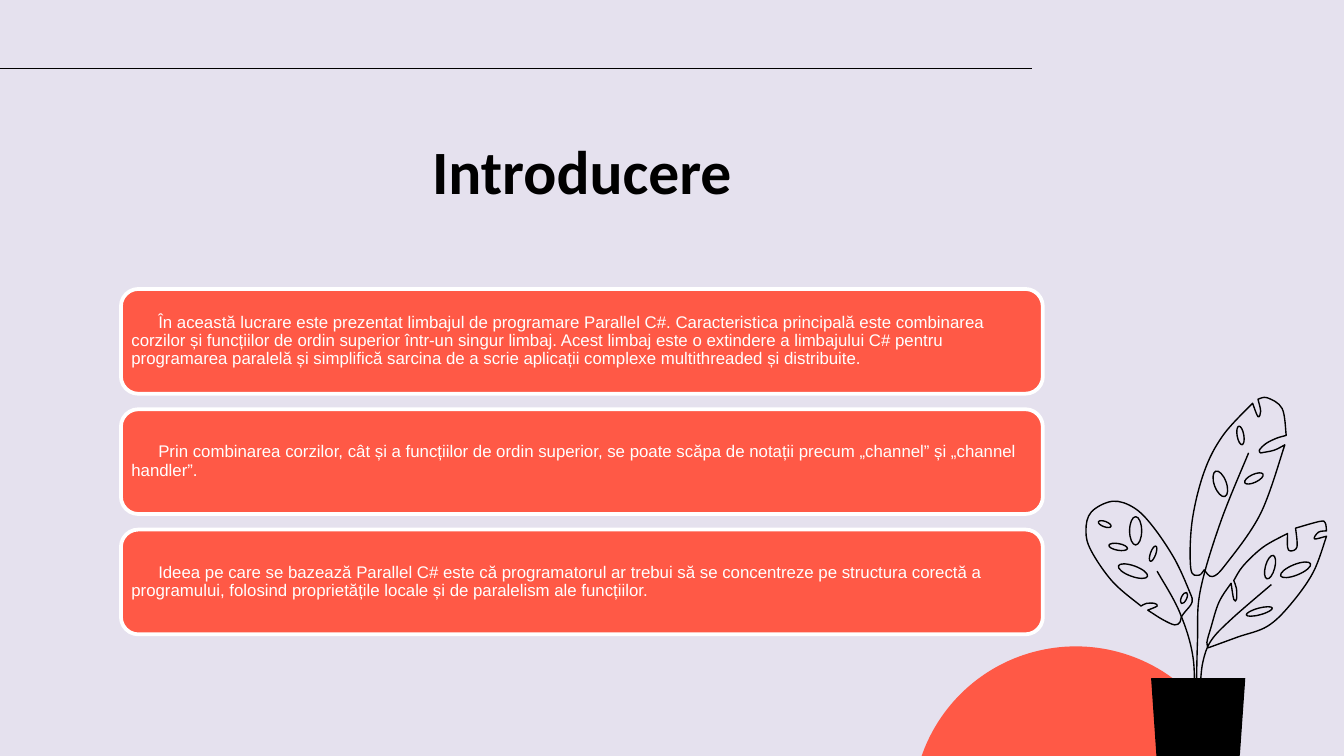
from math import cos, radians, sin

from lxml import etree
from pptx import Presentation, util as u
from pptx.dml.color import RGBColor
from pptx.enum import shapes, text
from pptx.oxml.ns import qn

LAVENDER = RGBColor(0xE5, 0xE1, 0xEE)
CORAL = RGBColor(0xFF, 0x59, 0x46)
BLACK = RGBColor(0, 0, 0)
WHITE = RGBColor(0xFF, 0xFF, 0xFF)

# Ellipse of radius 1 as four Bezier curves: start, then two controls and an end for each
K = 0.55
ELLIPSE = [(1, 0), (1, K), (K, 1), (0, 1), (-K, 1), (-1, K), (-1, 0),
           (-1, -K), (-K, -1), (0, -1), (K, -1), (1, -K), (1, 0)]

prs = Presentation()
prs.slide_width = u.Inches(10)
prs.slide_height = u.Emu(prs.slide_width * 9 // 16)
slide = prs.slides.add_slide(prs.slide_layouts[5])
slide.background.fill.solid()
slide.background.fill.fore_color.rgb = LAVENDER


def smooth(run):
    """Controls and ends of the Bezier curves that join the points of a run smoothly."""
    padded = [run[0], *run, run[-1]]
    curves = []
    for a, b, c, d in zip(padded, padded[1:], padded[2:], padded[3:]):
        curves += [(b[0] + (c[0] - a[0]) / 6, b[1] + (c[1] - a[1]) / 6),
                   (c[0] - (d[0] - b[0]) / 6, c[1] - (d[1] - b[1]) / 6), c]
    return curves


def draw(contours, fill=None, closed=True, curved=True):
    """Draw contours, given in inches, as one outlined freeform."""
    scaled = [[(u.Inches(x), u.Inches(y)) for x, y in contour] for contour in contours]
    builder = slide.shapes.build_freeform(*scaled[0][0])
    for i, contour in enumerate(scaled):
        if i:
            builder.move_to(*contour[0])
        builder.add_line_segments(contour[1:], close=closed)
    outline = builder.convert_to_shape()
    outline.shadow.inherit = False
    outline.line.color.rgb = BLACK
    outline.line.width = u.Pt(0.75)
    if fill is None:
        outline.fill.background()
    else:
        outline.fill.solid()
        outline.fill.fore_color.rgb = fill
    if curved:
        # Every three segments become one cubic curve
        segments = list(outline._element.iter(qn("a:lnTo")))
        for first, second, third in zip(segments[::3], segments[1::3], segments[2::3]):
            first.tag = qn("a:cubicBezTo")
            for extra in (second, third):
                first.append(extra[0])
                extra.getparent().remove(extra)


# Backdrop: circle and top rule
sun = slide.shapes.add_shape(shapes.MSO_SHAPE.OVAL, u.Inches(6.79), u.Inches(4.81),
                             u.Inches(2.43), u.Inches(2.43))
sun.shadow.inherit = False
sun.fill.solid()
sun.fill.fore_color.rgb = CORAL
sun.line.fill.background()

rule = slide.shapes.add_connector(shapes.MSO_CONNECTOR.STRAIGHT, 0, u.Inches(0.51),
                                  u.Inches(7.68), u.Inches(0.51))
rule.line.color.rgb = BLACK
rule.line.width = u.Pt(0.75)
etree.SubElement(rule._element.spPr, qn("a:effectLst"))

# Leaves: edge runs that meet in corners, and holes as (x, y, length, width, angle)
leaves = [
    ([[(9.57, 3.24), (9.54, 3.04), (9.43, 2.96), (9.36, 2.97)],
      [(9.36, 2.97), (9.38, 3.06), (9.36, 3.1), (9.32, 3)],
      [(9.32, 3), (9.1, 3.24), (8.96, 3.51), (8.87, 3.88), (8.86, 4.23), (8.92, 4.28),
       (8.96, 4.24)],
      [(8.96, 4.24), (9.02, 4.29), (9.12, 4.2), (9.38, 3.82), (9.56, 3.31)],
      [(9.56, 3.31), (9.48, 3.35), (9.38, 3.37)],
      [(9.38, 3.37), (9.37, 3.35), (9.42, 3.3), (9.5, 3.26), (9.57, 3.24)]],
     [(9.23, 3.24, 0.14, 0.05, 80), (9.33, 3.56, 0.15, 0.06, -25),
      (9.08, 3.6, 0.2, 0.09, 70)]),
    ([[(8.49, 4.51), (8.28, 4.33), (8.12, 4.1), (8.08, 3.95), (8.12, 3.81), (8.28, 3.73),
       (8.44, 3.78), (8.58, 3.92), (8.74, 4.16), (8.85, 4.4), (8.87, 4.48), (8.82, 4.55)],
      [(8.82, 4.55), (8.79, 4.59), (8.78, 4.63), (8.74, 4.65), (8.65, 4.61), (8.54, 4.54)],
      [(8.54, 4.54), (8.61, 4.51), (8.59, 4.49), (8.53, 4.49), (8.49, 4.51)]],
     [(8.22, 3.9, 0.1, 0.04, 20), (8.45, 3.95, 0.21, 0.09, 90), (8.32, 4.07, 0.14, 0.05, 10),
      (8.58, 4.12, 0.12, 0.04, -70), (8.43, 4.25, 0.23, 0.08, 20),
      (8.81, 4.45, 0.09, 0.04, -65)]),
    ([[(9.64, 3.93), (9.65, 4.07), (9.6, 4.1), (9.58, 4.07), (9.58, 3.97)],
      [(9.58, 3.97), (9.4, 4.07), (9.25, 4.21), (9.18, 4.32)],
      [(9.18, 4.32), (9.2, 4.38), (9.2, 4.46), (9.18, 4.46), (9.16, 4.34)],
      [(9.16, 4.34), (9.07, 4.48), (9.01, 4.67), (8.98, 4.78), (8.99, 4.82)],
      [(8.99, 4.82), (9.21, 4.74), (9.43, 4.66), (9.6, 4.5), (9.77, 4.26), (9.87, 3.99)],
      [(9.87, 3.99), (9.78, 4.01), (9.81, 3.96), (9.87, 3.95)],
      [(9.87, 3.95), (9.86, 3.89), (9.82, 3.88), (9.64, 3.93)]],
     [(9.64, 4.24, 0.24, 0.08, -22), (9.45, 4.22, 0.18, 0.07, -75),
      (9.37, 4.55, 0.2, 0.05, -15)]),
]
for edge, holes in leaves:
    contours = [edge[0][:1] + [point for run in edge for point in smooth(run)]]
    for x, y, length, width, angle in holes:
        across, down = cos(radians(angle)) / 2, sin(radians(angle)) / 2
        contours.append([(x + p * length * across - q * width * down,
                          y + p * length * down + q * width * across) for p, q in ELLIPSE])
    draw(contours, LAVENDER)

# Stems and pot
stems = [
    [(9.46, 4.35), (9.16, 4.61), (9.01, 4.77), (8.95, 4.93), (8.93, 5.12)],
    [(8.61, 4.25), (8.78, 4.56), (8.88, 4.91), (8.88, 5.33)],
    [(9.29, 3.37), (9.08, 3.89), (8.93, 4.4), (8.91, 4.77), (8.9, 5.23)],
]
for stem in stems:
    draw([stem[:1] + smooth(stem)], closed=False)
draw([[(8.57, 5.05), (8.61, 5.63), (9.22, 5.62), (9.26, 5.05)]], BLACK, curved=False)

# Title
title = slide.shapes.title
title.left, title.top = u.Inches(0.9), u.Inches(0.89)
title.width, title.height = u.Inches(6.86), u.Inches(0.63)
frame = title.text_frame
frame.text = "Introducere"
frame.auto_size = text.MSO_AUTO_SIZE.NONE
frame.vertical_anchor = text.MSO_ANCHOR.TOP
frame.margin_left = frame.margin_right = frame.margin_top = frame.margin_bottom = u.Inches(0.1)
heading = frame.paragraphs[0]
heading.alignment = text.PP_ALIGN.CENTER
heading.font.name = "Calibri"
heading.font.size = u.Pt(33)
heading.font.bold = True
heading.font.color.rgb = BLACK

# Statement cards, evenly spaced from the first top to the last
FIRST_TOP, LAST_TOP = 2.15, 3.94
statements = [
    "În această lucrare este prezentat limbajul de programare Parallel C#. Caracteristica "
    "principală este combinarea corzilor și funcțiilor de ordin superior într-un singur limbaj. "
    "Acest limbaj este o extindere a limbajului C# pentru programarea paralelă și simplifică "
    "sarcina de a scrie aplicații complexe multithreaded și distribuite.",
    "Prin combinarea corzilor, cât și a funcțiilor de ordin superior, se poate scăpa de notații "
    "precum „channel” și „channel handler”.",
    "Ideea pe care se bazează Parallel C# este că programatorul ar trebui să se concentreze pe "
    "structura corectă a programului, folosind proprietățile locale și de paralelism ale "
    "funcțiilor.",
]
pitch = (LAST_TOP - FIRST_TOP) / (len(statements) - 1)
for i, statement in enumerate(statements):
    card = slide.shapes.add_shape(shapes.MSO_SHAPE.ROUNDED_RECTANGLE, u.Inches(0.9),
                                  u.Inches(FIRST_TOP + pitch * i), u.Inches(6.86),
                                  u.Inches(0.78))
    card.shadow.inherit = False
    card.fill.solid()
    card.fill.fore_color.rgb = CORAL
    card.line.color.rgb = WHITE
    card.line.width = u.Pt(2)
    frame = card.text_frame
    frame.text = statement
    frame.word_wrap = True
    frame.vertical_anchor = text.MSO_ANCHOR.MIDDLE
    frame.margin_left = frame.margin_right = u.Inches(0.04)
    frame.margin_top = frame.margin_bottom = u.Inches(0.04)
    body = frame.paragraphs[0]
    body.alignment = text.PP_ALIGN.LEFT
    body.line_spacing = 0.9
    body._p.get_or_add_pPr().set("indent", str(u.Inches(0.2)))
    body.font.name = "Arial"
    body.font.size = u.Pt(9)
    body.font.color.rgb = WHITE

prs.save("out.pptx")
